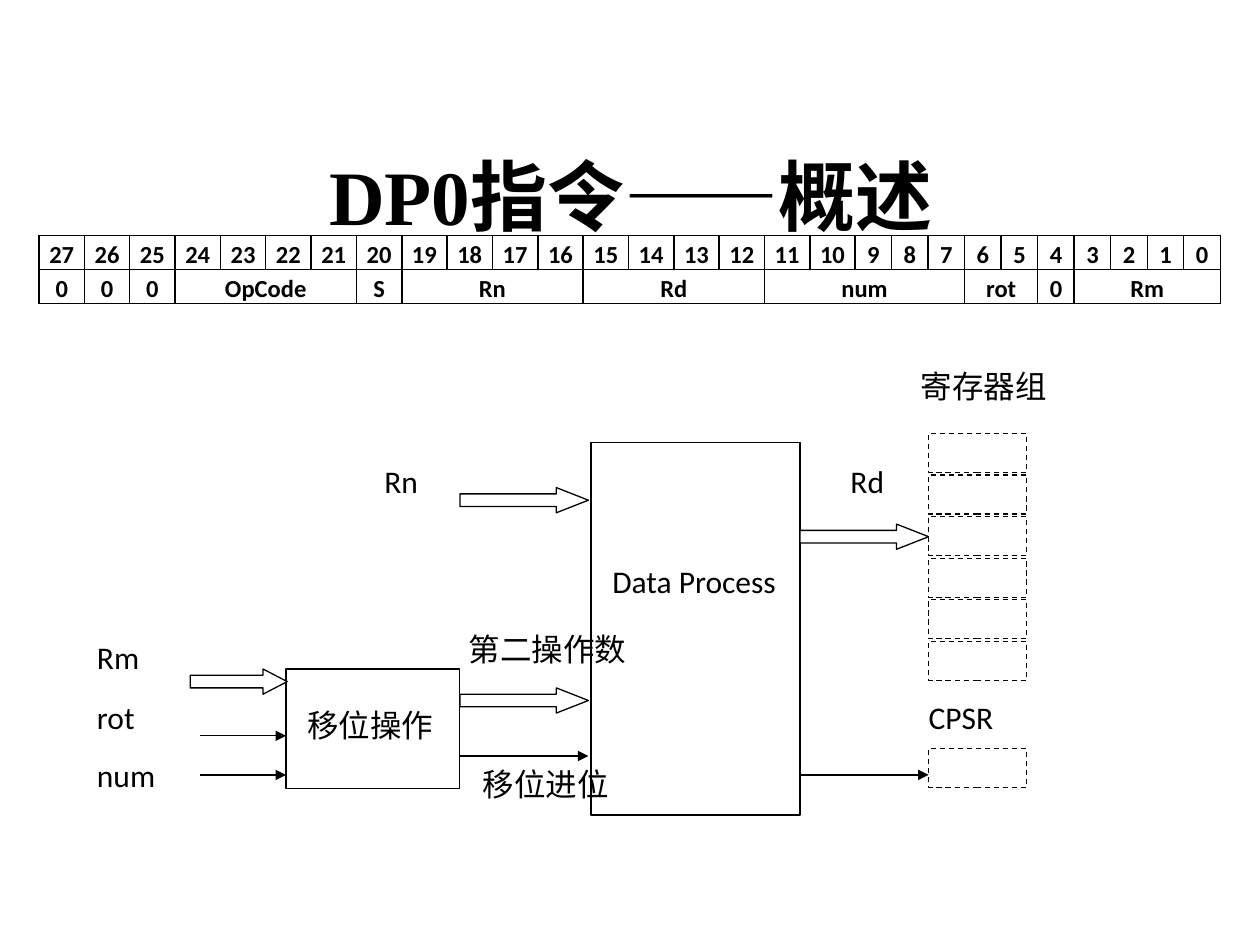
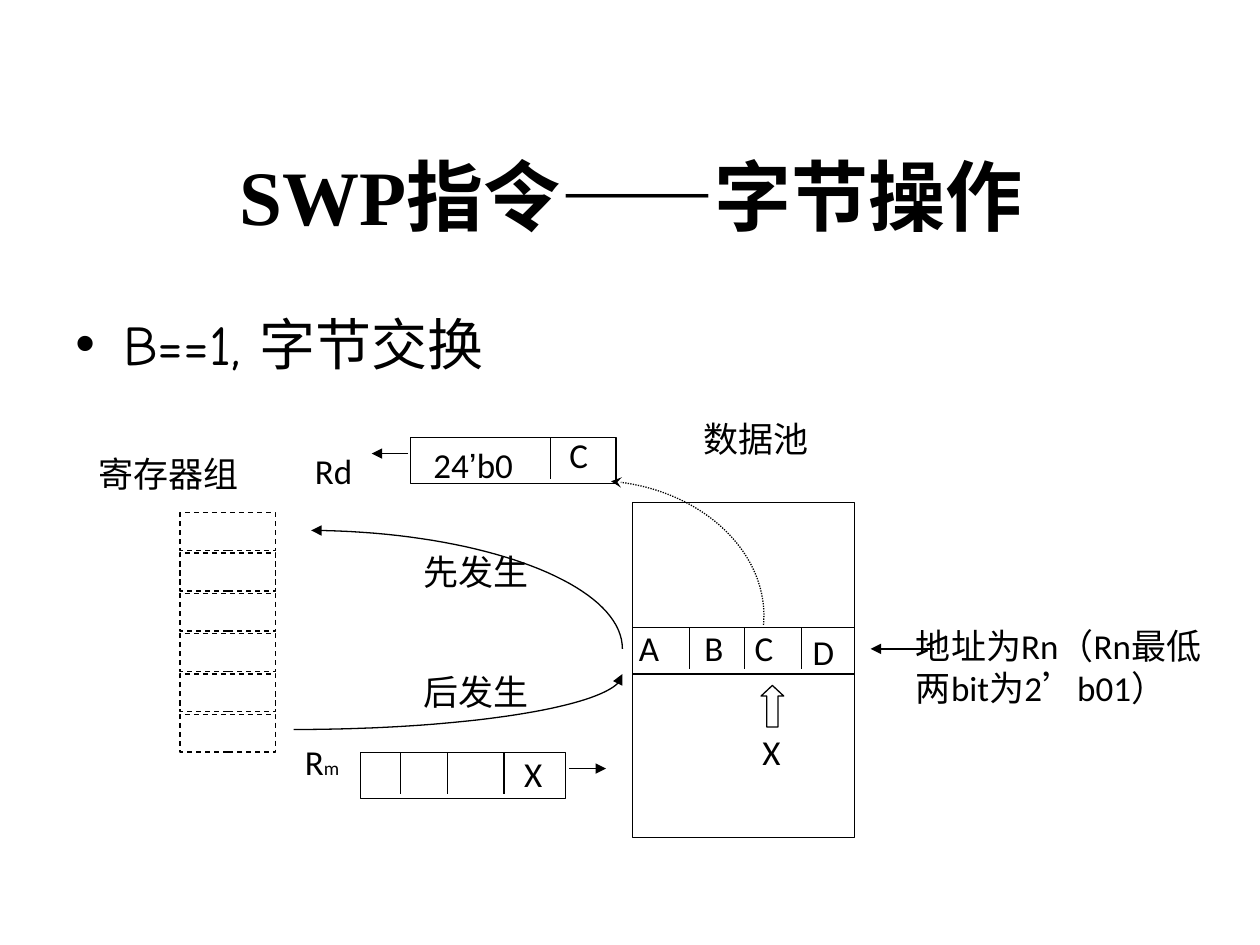
from dataclasses import dataclass
from itertools import accumulate
from typing import NamedTuple

import lxml.etree
import pptx
import pptx.dml.color
import pptx.enum.dml
import pptx.enum.shapes
import pptx.enum.text
import pptx.oxml.ns
import pptx.util

Inches = pptx.util.Inches
Pt = pptx.util.Pt
qn = pptx.oxml.ns.qn
Kind = pptx.enum.shapes.MSO_SHAPE
Dash = pptx.enum.dml.MSO_LINE
Align = pptx.enum.text.PP_ALIGN
Anchor = pptx.enum.text.MSO_ANCHOR

COLORS = {"ink": "000000", "paper": "FFFFFF"}
BODY, TITLE, QUOTE, NOTE = "Calibri", "Times New Roman", "Arial", "Comic Neue"
THIN = 0.75


class Part(NamedTuple):
    """A run of text with its own font or size."""
    text: str
    font: str = BODY
    size: float = 0


@dataclass
class Label:
    x: float
    y: float
    w: float
    text: str | list[Part]
    h: float = 0.39


@dataclass
class Box:
    x: float
    y: float
    w: float
    h: float
    kind: Kind = Kind.RECTANGLE
    dash: Dash | None = None
    tip: float = 0


@dataclass
class Line:
    x1: float
    y1: float
    x2: float
    y2: float
    arrow: bool = False


@dataclass
class Curve:
    """A cubic curve whose arrowhead sits on the last point."""
    points: list[tuple[float, float]]
    tip: str = "triangle"
    dash: Dash | None = None


def tint(name: str) -> pptx.dml.color.RGBColor:
    return pptx.dml.color.RGBColor.from_string(COLORS[name])


# Text
def style(run, size: float, font: str = BODY, bold: bool = False) -> None:
    run.font.size = Pt(size)
    run.font.name = font
    run.font.bold = bold
    run.font.color.rgb = tint("ink")


def frame(slide, x: float, y: float, w: float, h: float):
    box = slide.shapes.add_textbox(Inches(x), Inches(y), Inches(w), Inches(h))
    box.text_frame.word_wrap = True
    return box.text_frame


def draw_title(slide, text: str) -> None:
    tf = frame(slide, 0.51, 0.92, 9, 1.25)
    tf.vertical_anchor = Anchor.MIDDLE
    tf.text = text
    para = tf.paragraphs[0]
    para.alignment = Align.CENTER
    style(para.runs[0], 44, TITLE, True)


def draw_point(slide, text: str) -> None:
    tf = frame(slide, 0.5, 2.41, 9, 0.64)
    tf.text = text
    para = tf.paragraphs[0]
    props = para._p.get_or_add_pPr()
    props.set("marL", str(Inches(0.38)))
    props.set("indent", str(Inches(-0.38)))
    lxml.etree.SubElement(props, qn("a:buFont")).set("typeface", QUOTE)
    lxml.etree.SubElement(props, qn("a:buChar")).set("char", "•")
    style(para.runs[0], 32, NOTE)


def draw_label(slide, label: Label, size: float) -> None:
    tf = frame(slide, label.x, label.y, label.w, label.h)
    tf.margin_left = tf.margin_right = tf.margin_top = tf.margin_bottom = 0
    parts = [Part(label.text)] if isinstance(label.text, str) else label.text
    for part in parts:
        run = tf.paragraphs[0].add_run()
        run.text = part.text
        style(run, part.size or size, part.font)


# Shapes and lines
def pen(shape, dash: Dash | None = None, tip: str = "") -> None:
    shape.line.color.rgb = tint("ink")
    shape.line.width = Pt(THIN)
    if dash:
        shape.line.dash_style = dash
    if tip:
        ln = shape._element.spPr.find(qn("a:ln"))
        lxml.etree.SubElement(ln, qn("a:tailEnd")).set("type", tip)


def draw_box(slide, box: Box) -> None:
    shape = slide.shapes.add_shape(
        box.kind, Inches(box.x), Inches(box.y), Inches(box.w), Inches(box.h))
    shape.shadow.inherit = False
    shape.fill.solid()
    shape.fill.fore_color.rgb = tint("paper")
    if box.tip:
        shape.adjustments[0] = 0.5
        shape.adjustments[1] = box.tip
    pen(shape, box.dash)


def draw_line(slide, line: Line) -> None:
    shape = slide.shapes.add_connector(
        pptx.enum.shapes.MSO_CONNECTOR.STRAIGHT,
        Inches(line.x1), Inches(line.y1), Inches(line.x2), Inches(line.y2))
    pen(shape, tip="triangle" if line.arrow else "")
    lxml.etree.SubElement(shape._element.spPr, qn("a:effectLst"))


def draw_curve(slide, curve: Curve, steps: int = 40) -> None:
    dots = []
    for i in range(steps + 1):
        t = i / steps
        u = 1 - t
        mix = (u**3, 3 * u * u * t, 3 * u * t * t, t**3)
        dots.append(tuple(Inches(sum(m * p[axis] for m, p in zip(mix, curve.points)))
                          for axis in (0, 1)))
    path = slide.shapes.build_freeform(*dots[0])
    path.add_line_segments(dots[1:], close=False)
    shape = path.convert_to_shape()
    shape.shadow.inherit = False
    shape.fill.background()
    pen(shape, curve.dash, curve.tip)


def draw_stack(slide, x: float, y: float, w: float, h: float, step: float) -> None:
    for i in range(6):
        draw_box(slide, Box(x, y + i * step, w, h, dash=Dash.DASH))


def draw_all(slide, boxes: list[Box], lines: list[Line],
             labels: list[Label], size: float) -> None:
    for box in boxes:
        draw_box(slide, box)
    for line in lines:
        draw_line(slide, line)
    for label in labels:
        draw_label(slide, label, size)


# Table of instruction bits
def fill_cell(cell, text: str) -> None:
    cell.margin_left = cell.margin_right = Inches(0.07)
    cell.margin_top = cell.margin_bottom = 0
    cell.text_frame.text = text
    para = cell.text_frame.paragraphs[0]
    para.alignment = Align.CENTER
    para.line_spacing = 1.15
    para.space_after = Pt(10)
    for run in para.runs:
        style(run, 14, bold=True)


def edge_cell(cell) -> None:
    cell.fill.background()
    props = cell._tc.get_or_add_tcPr()
    for i, side in enumerate("LRTB"):
        ln = lxml.etree.Element(qn(f"a:ln{side}"), w=str(Pt(1)))
        fill = lxml.etree.SubElement(ln, qn("a:solidFill"))
        lxml.etree.SubElement(fill, qn("a:srgbClr")).set("val", COLORS["ink"])
        props.insert(i, ln)


def draw_bits(slide, fields: list[tuple[str, int]]) -> None:
    count = sum(span for _, span in fields)
    table = slide.shapes.add_table(
        2, count, Inches(0.31), Inches(1.87), Inches(9.38), Inches(0.54)).table
    table.first_row = table.horz_banding = False
    for row in table.rows:
        row.height = Inches(0.27)
    for i, col in enumerate(table.columns):
        col.width = Inches(0.36 if i < 18 else 0.29)
        fill_cell(table.cell(0, i), str(count - 1 - i))
        fill_cell(table.cell(1, i), "")
    ends = accumulate(span for _, span in fields)
    for (name, span), end in zip(fields, ends):
        cell = table.cell(1, end - span)
        if span > 1:
            cell.merge(table.cell(1, end - 1))
        fill_cell(cell, name)
    for cell in table.iter_cells():
        edge_cell(cell)


# Slide 1: data flow
def build_flow(slide) -> None:
    draw_title(slide, "DP0指令——概述")
    draw_bits(slide, [("0", 1), ("0", 1), ("0", 1), ("OpCode", 4), ("S", 1), ("Rn", 4),
                      ("Rd", 4), ("num", 5), ("rot", 2), ("0", 1), ("Rm", 4)])
    shift = Box(2.27, 5.31, 1.38, 0.95)
    core = Box(4.69, 3.51, 1.66, 2.96)
    flag = Box(7.37, 5.94, 0.78, 0.31, dash=Dash.DASH)
    wide = [Box(x, y, 1.02, 0.2, Kind.RIGHT_ARROW, tip=1.275)
            for x, y in ((3.65, 5.46), (3.65, 3.87), (6.35, 4.16))]
    short = Box(1.51, 5.31, 0.77, 0.2, Kind.RIGHT_ARROW, tip=0.96)
    lines = [Line(3.65, 6, 4.67, 6, True), Line(6.35, 6.15, 7.37, 6.15, True),
             Line(1.59, 5.84, 2.27, 5.84, True), Line(1.59, 6.15, 2.27, 6.15, True)]
    labels = [
        Label(2.44, 5.6, 1.13, "移位操作"),
        Label(4.86, 4.46, 1.49, "Data Process"),
        Label(7.31, 2.91, 1.36, "寄存器组"),
        Label(7.37, 5.54, 0.78, "CPSR"),
        Label(0.77, 5.06, 0.5, "Rm"),
        Label(0.77, 5.54, 0.5, "rot"),
        Label(0.77, 6, 0.5, "num"),
        Label(6.75, 3.67, 0.5, "Rd"),
        Label(3.72, 5, 1.44, "第二操作数"),
        Label(3.05, 3.67, 0.5, "Rn"),
        Label(3.83, 6.07, 1.09, "移位进位"),
    ]
    draw_all(slide, [shift, core, flag, *wide, short], lines, labels, 18)
    draw_stack(slide, 7.37, 3.44, 0.78, 0.31, 0.33)


# Slide 2: byte swap
def build_swap(slide) -> None:
    draw_title(slide, "SWP指令——字节操作")
    draw_point(slide, "B==1, 字节交换")
    draw_stack(slide, 1.43, 4.07, 0.76, 0.3, 0.32)
    pool = Box(5.02, 3.99, 1.76, 2.66)
    load = Box(3.26, 3.47, 1.63, 0.37)
    store = Box(2.86, 5.97, 1.63, 0.37)
    up = Box(6.04, 5.44, 0.18, 0.33, Kind.UP_ARROW, tip=0.47)
    splits = [(5.47, 4.98), (5.91, 4.98), (6.36, 4.98), (4.37, 3.47),
              (3.18, 5.97), (3.55, 5.97), (4, 5.97)]
    lines = [Line(x, y, x, y + 0.33) for x, y in splits]
    lines += [Line(5.02, y, 6.78, y) for y in (4.98, 5.35)]
    lines += [Line(7.41, 5.15, 6.91, 5.15, True), Line(3.24, 3.6, 2.95, 3.6, True),
              Line(4.52, 6.1, 4.81, 6.1, True)]
    labels = [
        Label(0.78, 3.59, 1.55, "寄存器组"),
        Label(5.58, 3.31, 0.95, "数据池"),
        Label(7.27, 4.96, 2.27, [Part("地址为Rn（Rn最低两bit为2"), Part("’", QUOTE),
                                 Part("b01）")], 0.88),
        Label(2.42, 5.88, 0.43, [Part("R"), Part("m", size=11)]),
        Label(2.5, 3.57, 0.43, "Rd"),
        Label(3.36, 4.37, 1.09, "先发生"),
        Label(3.36, 5.32, 0.93, "后发生"),
        Label(3.44, 3.52, 0.86, [Part("24"), Part("’", QUOTE), Part("b0")]),
    ]
    cells = [("A", 5.07, 4.97), ("B", 5.59, 4.97), ("C", 5.99, 4.97), ("D", 6.45, 5),
             ("C", 4.52, 3.44), ("X", 4.16, 5.97), ("X", 6.05, 5.8)]
    labels += [Label(x, y, 0.24, text) for text, x, y in cells]
    draw_all(slide, [pool, load, store, up], lines, labels, 20)
    for curve in (
        Curve([(2.33, 5.79), (3.77, 5.79), (4.94, 5.59), (4.94, 5.35)]),
        Curve([(4.94, 5.15), (4.94, 4.64), (3.84, 4.22), (2.47, 4.21)]),
        Curve([(6.06, 4.96), (6.11, 4.39), (5.57, 3.88), (4.85, 3.82)],
              "stealth", Dash.ROUND_DOT),
    ):
        draw_curve(slide, curve)


def main() -> None:
    deck = pptx.Presentation()
    deck.slide_width, deck.slide_height = Inches(10), Inches(7.5)
    for build in (build_flow, build_swap):
        build(deck.slides.add_slide(deck.slide_layouts[6]))
    deck.save("out.pptx")


if __name__ == "__main__":
    main()
